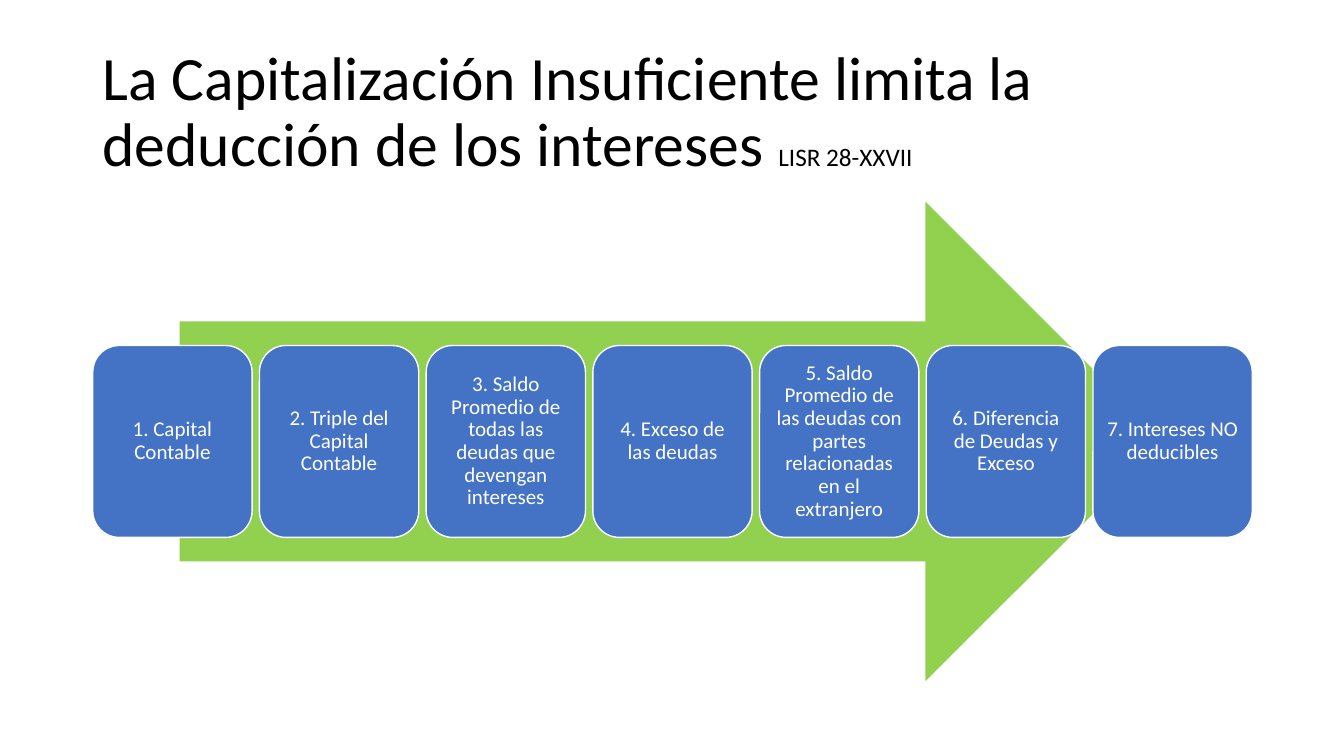
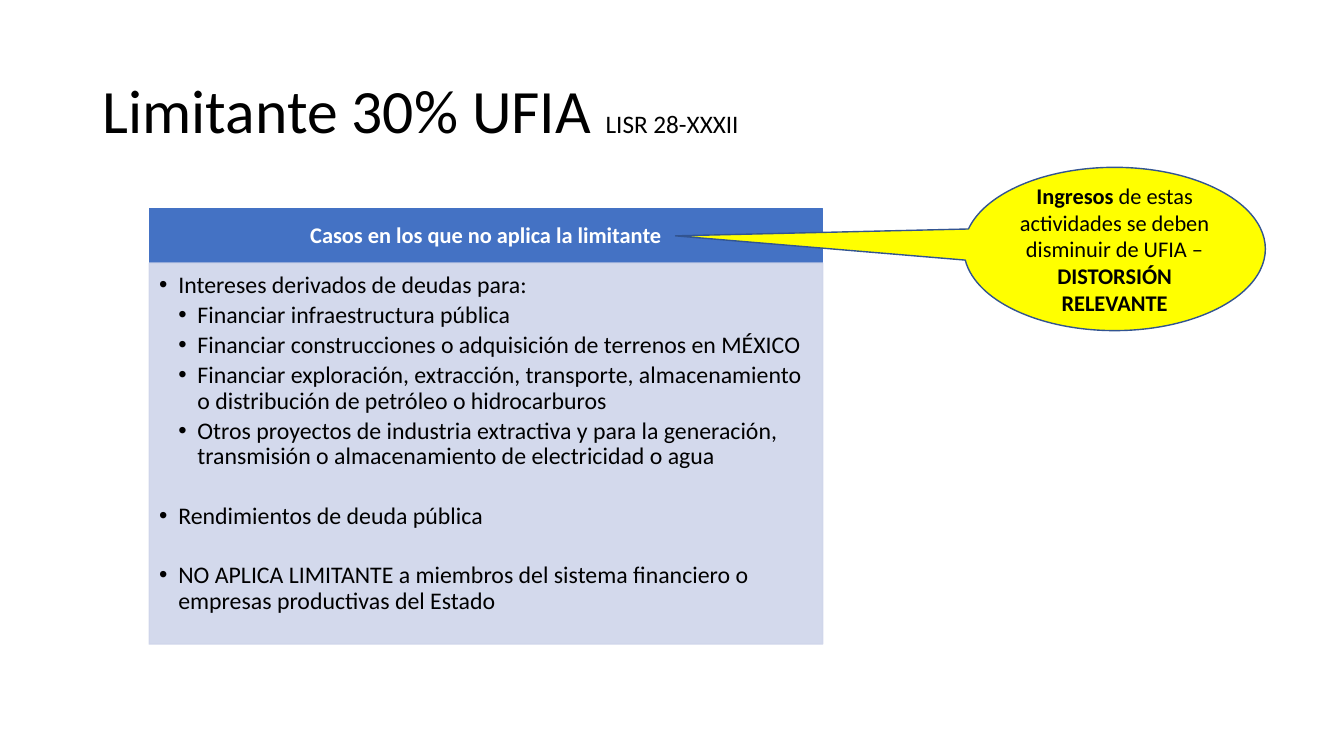
from lxml import etree
from pptx import Presentation
from pptx.dml.color import RGBColor
from pptx.enum.shapes import MSO_SHAPE
from pptx.enum.text import MSO_ANCHOR, PP_ALIGN
from pptx.oxml.ns import qn
from pptx.util import Inches, Pt

RECT, ROUND = MSO_SHAPE.RECTANGLE, MSO_SHAPE.ROUNDED_RECTANGLE
ARROW, CALLOUT = MSO_SHAPE.RIGHT_ARROW, MSO_SHAPE.OVAL_CALLOUT
TOP, MIDDLE = MSO_ANCHOR.TOP, MSO_ANCHOR.MIDDLE
LEFT, CENTER = PP_ALIGN.LEFT, PP_ALIGN.CENTER

FONT = "Calibri"
COLORS = {
    "text": "000000",
    "white": "FFFFFF",
    "blue": "4472C4",
    "pale": "CFD5EA",
    "green": "92D050",
    "yellow": "FFFF00",
    "outline": "325491",
}
TITLE_BOX = (0.92, 0.4, 11.5, 1.45)
STEPS = [
    "1. Capital Contable",
    "2. Triple del Capital Contable",
    "3. Saldo Promedio de todas las deudas que devengan intereses",
    "4. Exceso de las deudas",
    "5. Saldo Promedio de las deudas con partes relacionadas en el extranjero",
    "6. Diferencia de Deudas y Exceso",
    "7. Intereses NO deducibles",
]
CASES = [
    (0, 0, "Intereses derivados de deudas para:"),
    (1, 0, "Financiar infraestructura pública"),
    (1, 0, "Financiar construcciones o adquisición de terrenos en MÉXICO"),
    (1, 0, "Financiar exploración, extracción, transporte, almacenamiento "
           "o distribución de petróleo o hidrocarburos"),
    (1, 0, "Otros proyectos de industria extractiva y para la generación, "
           "transmisión o almacenamiento de electricidad o agua"),
    (0, 21, "Rendimientos de deuda pública"),
    (0, 21, "NO APLICA LIMITANTE a miembros del sistema financiero o "
            "empresas productivas del Estado"),
]


def rgb(name):
    """Return the named palette colour."""
    return RGBColor.from_string(COLORS[name])


def add_run(p, text, size, color="text", bold=False):
    """Append one formatted run to a paragraph."""
    r = p.add_run()
    r.text = text
    r.font.name = FONT
    r.font.size = Pt(size)
    r.font.bold = bold
    r.font.color.rgb = rgb(color)


def set_frame(sp, insets=(0.1, 0.05, 0.1, 0.05), anchor=MIDDLE, align=CENTER, spacing=0.9):
    """Prepare the text frame of a shape and return its first paragraph."""
    tf = sp.text_frame
    tf.word_wrap = True
    tf.vertical_anchor = anchor
    tf.margin_left, tf.margin_top, tf.margin_right, tf.margin_bottom = map(Inches, insets)
    p = tf.paragraphs[0]
    p.alignment = align
    p.line_spacing = spacing
    return p


def add_box(slide, kind, box, fill, line=None):
    """Add a filled preset shape with an optional one-point outline."""
    sp = slide.shapes.add_shape(kind, *map(Inches, box))
    sp.shadow.inherit = False
    sp.fill.solid()
    sp.fill.fore_color.rgb = rgb(fill)
    if line:
        sp.line.color.rgb = rgb(line)
        sp.line.width = Pt(1)
    else:
        sp.line.fill.background()
    return sp


def set_alpha(sp, percent):
    """Make the fill and the outline of a shape partly transparent."""
    for color in sp._element.spPr.iter(qn("a:srgbClr")):
        etree.SubElement(color, qn("a:alpha"), val=str(percent * 1000))


def add_bullet(p, level, indent=0.19):
    """Give a paragraph a hanging round bullet at its level."""
    p.level = level
    pPr = p._p.get_or_add_pPr()
    pPr.set("marL", str(Inches(indent * (level + 1))))
    pPr.set("indent", str(-Inches(indent)))
    etree.SubElement(pPr, qn("a:buFont"), typeface="Arial")
    etree.SubElement(pPr, qn("a:buChar"), char="•")


def add_titled_slide(prs, title, reference):
    """Add a blank slide with a title and its small legal reference."""
    slide = prs.slides.add_slide(prs.slide_layouts[6])
    sp = slide.shapes.add_textbox(*map(Inches, TITLE_BOX))
    p = set_frame(sp, align=LEFT)
    add_run(p, title, 44)
    add_run(p, reference, 18)
    return slide


def add_process(slide, box, steps):
    """Draw a row of step cards over a wide arrow."""
    left, top, width, height = box
    arrow_w = width * 0.85
    add_box(slide, ARROW, (left + (width - arrow_w) / 2, top, arrow_w, height), "green")
    card_w, card_h = 1.58, height * 0.4
    pitch = (width - card_w) / (len(steps) - 1)
    for i, step in enumerate(steps):
        card = (left + i * pitch, top + (height - card_h) / 2, card_w, card_h)
        sp = add_box(slide, ROUND, card, "blue", "white")
        add_run(set_frame(sp, (0.06,) * 4), step, 15, "white")


def add_case_panel(slide, box, heading, cases, head_h=0.54):
    """Draw a heading band above a panel of bulleted cases."""
    left, top, width, height = box
    sp = add_box(slide, RECT, (left, top, width, head_h), "blue", "blue")
    p = set_frame(sp, (0.12, 0.07, 0.12, 0.07))
    add_run(p, heading, 16, "white", True)

    sp = add_box(slide, RECT, (left, top + head_h, width, height - head_h), "pale", "pale")
    set_alpha(sp, 90)
    p = set_frame(sp, (0.1, 0.1, 0.13, 0.15), TOP, LEFT)
    for i, (level, before, text) in enumerate(cases):
        if i:
            p = sp.text_frame.add_paragraph()
            p.alignment = LEFT
            p.line_spacing = 0.9
        add_bullet(p, level)
        p.space_before = Pt(before)
        p.space_after = Pt(3)
        add_run(p, text, 17)


def add_callout(slide, box, tip, runs):
    """Draw an oval callout whose tail ends at the given point."""
    left, top, width, height = box
    sp = add_box(slide, CALLOUT, box, "yellow", "outline")
    sp.adjustments[0] = (tip[0] - left) / width - 0.5
    sp.adjustments[1] = (tip[1] - top) / height - 0.5
    p = set_frame(sp, spacing=1.0)
    for text, bold in runs:
        add_run(p, text, 16, bold=bold)


def build_capitalization(prs):
    """Build the slide on thin capitalization."""
    slide = add_titled_slide(
        prs, "La Capitalización Insuficiente limita la deducción de los intereses ",
        "LISR 28-XXVII")
    add_process(slide, (0.92, 2, 11.5, 4.76), STEPS)


def build_limit(prs):
    """Build the slide on the thirty percent limit."""
    slide = add_titled_slide(prs, "Limitante 30% UFIA ", "LISR 28-XXXII")
    add_case_panel(slide, (1.48, 2.07, 6.68, 4.32),
                   "Casos en los que no aplica la limitante", CASES)
    add_callout(slide, (9.56, 1.66, 2.99, 1.62), (6.7, 2.34), [
        ("Ingresos", True),
        (" de estas actividades se deben disminuir de UFIA – ", False),
        ("DISTORSIÓN RELEVANTE", True),
    ])


def main():
    """Build and save the presentation."""
    prs = Presentation()
    prs.slide_width, prs.slide_height = Inches(13.33), Inches(7.5)
    build_capitalization(prs)
    build_limit(prs)
    prs.save("out.pptx")


if __name__ == "__main__":
    main()
